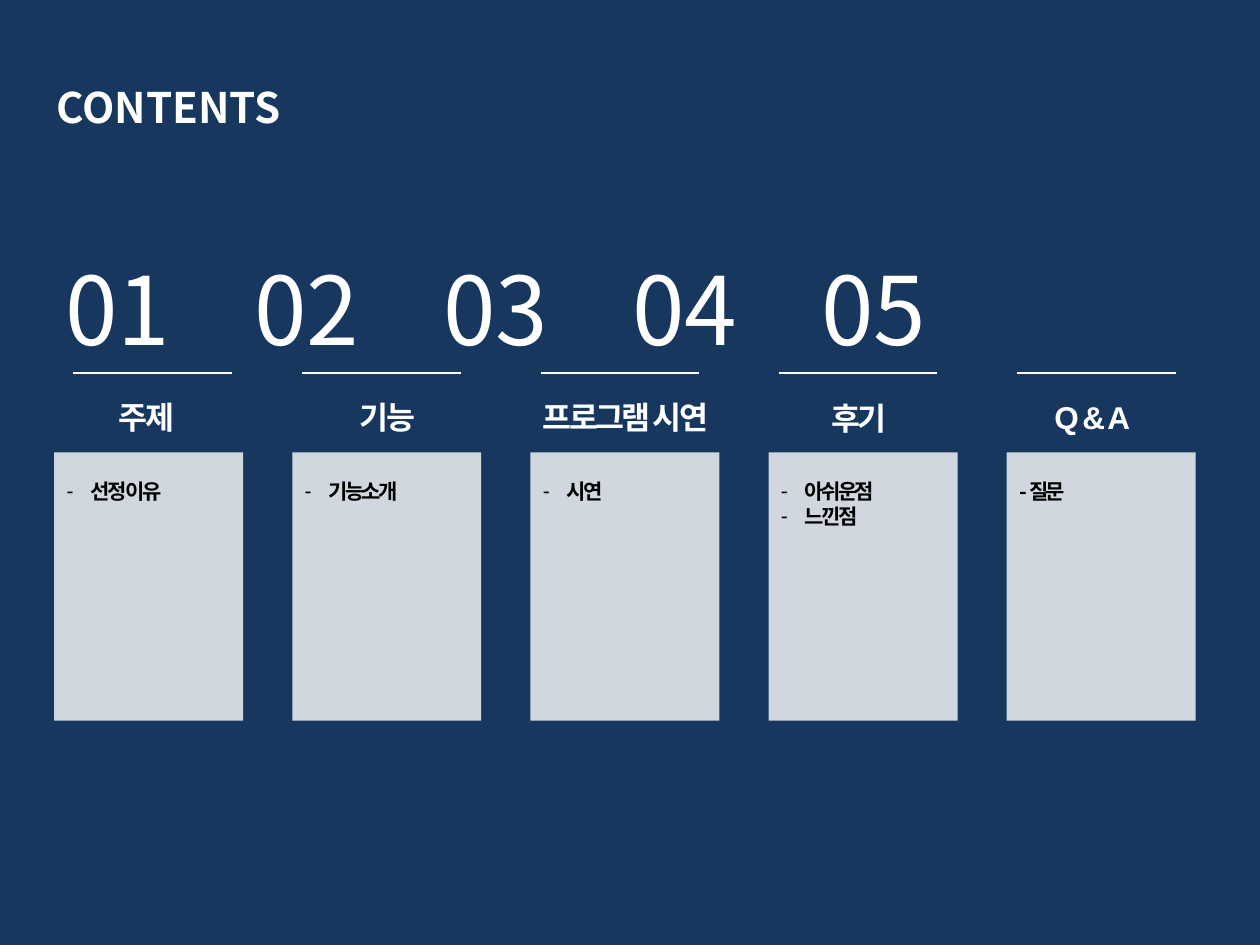
from lxml.etree import SubElement
from pptx import Presentation
from pptx.dml.color import RGBColor
from pptx.enum.shapes import MSO_CONNECTOR, MSO_SHAPE
from pptx.enum.text import MSO_AUTO_SIZE, PP_ALIGN
from pptx.oxml.ns import qn
from pptx.util import Inches, Pt

NAVY, WHITE, BLACK = "17375E", "FFFFFF", "000000"
KOREAN_FONT = "Noto Sans CJK KR"
CARD_LEFT, CARD_STEP, CARD_WIDTH = 0.43, 1.89, 1.5
NUMBER_STEP = 1.5
HANGING_INDENT = 0.19

# label, label left, label top, label width, rule left, items, bulleted
SECTIONS = [
    ("주제 ", 0.43, 3.11, 1.5, 0.58, ["선정 이유"], True),
    ("기능", 2.17, 3.11, 1.81, 2.4, ["기능소개"], True),
    ("프로그램 시연", 4.06, 3.11, 1.81, 4.29, ["시연"], True),
    ("후기", 5.79, 3.12, 2.05, 6.18, ["아쉬운점", "느낀점"], True),
    ("Q & A", 7.47, 3.11, 2.4, 8.07, ["- 질문"], False),
]


def paint(target, color):
    """Give a fill or line format a solid colour."""
    target.solid()
    target.fore_color.rgb = RGBColor.from_string(color)


def add_bullet(para):
    properties = para._p.get_or_add_pPr()
    properties.set("marL", str(Inches(HANGING_INDENT)))
    properties.set("indent", str(-Inches(HANGING_INDENT)))
    SubElement(properties, qn("a:buFont"), typeface="Arial")
    SubElement(properties, qn("a:buChar"), char="-")


def add_tab_stops(para, step, count):
    stops = SubElement(para._p.get_or_add_pPr(), qn("a:tabLst"))
    for index in range(1, count + 1):
        SubElement(stops, qn("a:tab"), pos=str(Inches(step * index)), algn="l")


def add_text(page, text, left, top, width, height, *, size, color=WHITE,
             font=KOREAN_FONT, bold=True, align=PP_ALIGN.LEFT, spacing=0,
             bulleted=False):
    """Add a text box with one paragraph per line of text."""
    box = page.shapes.add_textbox(Inches(left), Inches(top),
                                  Inches(width), Inches(height))
    frame = box.text_frame
    frame.word_wrap = True
    frame.auto_size = MSO_AUTO_SIZE.SHAPE_TO_FIT_TEXT
    frame.text = text
    for para in frame.paragraphs:
        para.alignment = align
        para.line_spacing = Pt(size * 1.2)
        if bulleted:
            add_bullet(para)
        for span in para.runs:
            span.font.size = Pt(size)
            span.font.bold = bold
            span.font.name = font
            paint(span.font.fill, color)
            properties = span.font._element
            SubElement(properties, qn("a:ea"), typeface=KOREAN_FONT)
            if spacing:
                properties.set("spc", str(int(spacing * 100)))
    return box


def add_card(page, left):
    card = page.shapes.add_shape(MSO_SHAPE.RECTANGLE, Inches(left), Inches(3.59),
                                 Inches(CARD_WIDTH), Inches(2.13))
    card.shadow.inherit = False
    paint(card.fill, WHITE)
    card.line.fill.background()
    color = card.fill._xPr.find(qn("a:solidFill"))[0]
    SubElement(color, qn("a:alpha"), val="80000")


def add_rule(page, left):
    top = Inches(2.96)
    rule = page.shapes.add_connector(MSO_CONNECTOR.STRAIGHT, Inches(left), top,
                                     Inches(left + 1.26), top)
    rule.line.width = Pt(0.75)
    paint(rule.line.fill, WHITE)
    SubElement(rule._element.spPr, qn("a:effectLst"))


def add_numbers(page):
    count = len(SECTIONS)
    numbers = "\t".join(f"{index:02}" for index in range(1, count + 1))
    box = add_text(page, numbers, 0.42, 1.94, 9.29, 1.01, size=54, bold=False)
    add_tab_stops(box.text_frame.paragraphs[0], NUMBER_STEP, count - 1)


def main():
    deck = Presentation()
    deck.slide_width, deck.slide_height = Inches(10), Inches(7.5)
    page = deck.slides.add_slide(deck.slide_layouts[6])
    paint(page.background.fill, NAVY)

    add_text(page, "CONTENTS", 0.35, 0.6, 4.57, 0.5, size=24)
    add_numbers(page)
    for index, section in enumerate(SECTIONS):
        label, label_left, label_top, label_width, rule_left, items, bulleted = section
        card_left = CARD_LEFT + index * CARD_STEP
        add_card(page, card_left)
        add_rule(page, rule_left)
        add_text(page, label, label_left, label_top, label_width, 0.4, size=18,
                 font="Arial", align=PP_ALIGN.CENTER, spacing=-1.5)
        add_text(page, "\n".join(items), card_left, 3.75, CARD_WIDTH,
                 0.1 + 0.2 * len(items), size=12, color=BLACK, spacing=-1.5,
                 bulleted=bulleted)

    deck.save("out.pptx")


if __name__ == "__main__":
    main()
